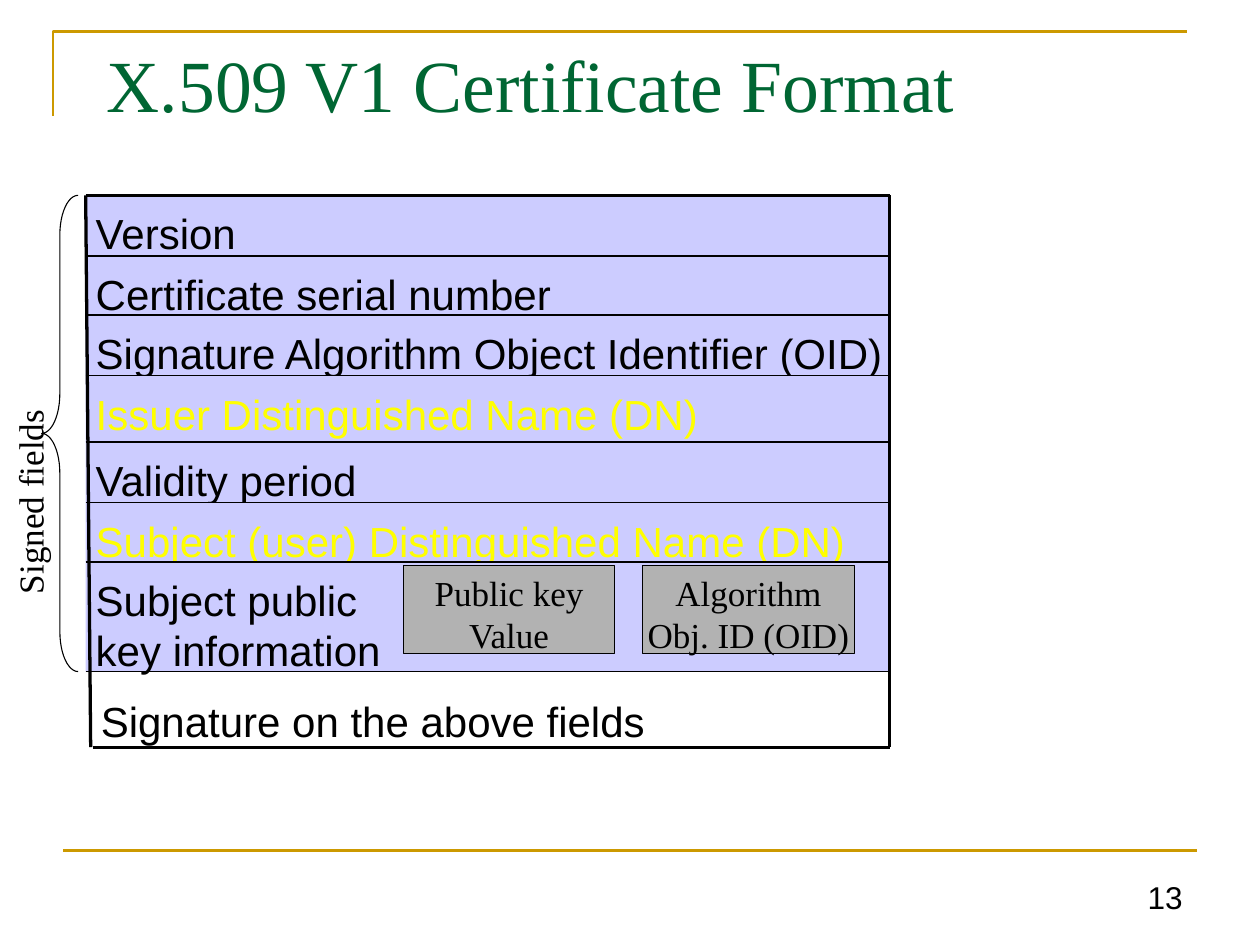
"""Build the X.509 V1 certificate format slide."""
import itertools

import pptx
import pptx.dml.color
import pptx.enum.shapes
import pptx.enum.text
import pptx.oxml
import pptx.util
from lxml import etree

TITLE = "X.509 V1 Certificate Format"
SIGNED_LABEL = "Signed fields"
PAGE = "13"
BLACK, YELLOW, LILAC, GREY = "000000", "FFFF00", "CCCCFF", "B2B2B2"
GREEN, GOLD = "006633", "CC9900"
SANS, SERIF = "Arial", "Times New Roman"

FIELDS = [
    (["Version"], 0.48, BLACK),
    (["Certificate serial number"], 0.47, BLACK),
    (["Signature Algorithm Object Identifier (OID)"], 0.48, BLACK),
    (["Issuer Distinguished Name (DN)"], 0.53, YELLOW),
    (["Validity period"], 0.48, BLACK),
    (["Subject (user) Distinguished Name (DN)"], 0.47, YELLOW),
    (["Subject public", "key information"], 0.87, BLACK),
]
SIGNATURE = ["Signature on the above fields"]
KEY_PARTS = [["Public key", "Value"], ["Algorithm", "Obj. ID (OID)"]]

LEFT, RIGHT, TOP, BOTTOM = 0.68, 7.06, 1.55, 5.93
WIDTH = RIGHT - LEFT
EDGES = [round(y, 2) for y in itertools.accumulate((f[1] for f in FIELDS), initial=TOP)]
SIGNED_END = EDGES[-1]
PART_LEFT, PART_WIDTH, PART_HEIGHT, PART_STEP = 3.2, 1.68, 0.7, 1.9

inch = pptx.util.Inches
SHAPE = pptx.enum.shapes.MSO_SHAPE
ALIGN = pptx.enum.text.PP_ALIGN
ANCHOR = pptx.enum.text.MSO_ANCHOR


def rgb(colour):
    return pptx.dml.color.RGBColor.from_string(colour)


def write(shape, lines, size, font, colour, margins=(0, 0, 0, 0),
          align=ALIGN.LEFT, anchor=ANCHOR.TOP):
    frame = shape.text_frame
    frame.text = "\n".join(lines)
    frame.word_wrap = True
    frame.vertical_anchor = anchor
    (frame.margin_left, frame.margin_top,
     frame.margin_right, frame.margin_bottom) = map(inch, margins)
    for paragraph in frame.paragraphs:
        paragraph.alignment = align
        for run in paragraph.runs:
            run.font.size = pptx.util.Pt(size)
            run.font.name = font
            run.font.color.rgb = rgb(colour)


def add_text(slide, box, *args, **kwargs):
    label = slide.shapes.add_textbox(*map(inch, box))
    write(label, *args, **kwargs)
    return label


def style(shape, fill=None, line=None, weight=0.63):
    shape.shadow.inherit = False
    if fill:
        shape.fill.solid()
        shape.fill.fore_color.rgb = rgb(fill)
    else:
        shape.fill.background()
    if line:
        shape.line.color.rgb = rgb(line)
        shape.line.width = pptx.util.Pt(weight)
    else:
        shape.line.fill.background()
    return shape


def add_box(slide, box, fill=None, line=None, kind=SHAPE.RECTANGLE):
    return style(slide.shapes.add_shape(kind, *map(inch, box)), fill, line)


def add_line(slide, ends, colour, weight):
    rule = slide.shapes.add_connector(
        pptx.enum.shapes.MSO_CONNECTOR.STRAIGHT, *map(inch, ends))
    rule.line.color.rgb = rgb(colour)
    rule.line.width = pptx.util.Pt(weight)
    etree.SubElement(rule._element.spPr, pptx.oxml.ns.qn("a:effectLst"))


def add_frame(slide):
    corner = slide.shapes.build_freeform(inch(0.42), inch(0.92))
    corner.add_line_segments(
        [(inch(0.42), inch(0.25)), (inch(9.42), inch(0.25))], close=False)
    style(corner.convert_to_shape(), line=GOLD, weight=1.5)
    add_line(slide, (0.5, 6.75, 9.5, 6.75), GOLD, 1.5)
    add_text(slide, (0.75, 0.19, 8.5, 1.06), [TITLE], 42, SERIF, GREEN,
             margins=(0.1, 0.12, 0.1, 0.05))
    add_text(slide, (9.01, 6.83, 0.48, 0.49), [PAGE], 18, SANS, BLACK,
             margins=(0.1, 0.05, 0.1, 0.05), anchor=ANCHOR.BOTTOM)


def add_certificate(slide):
    for (lines, height, colour), top in zip(FIELDS, EDGES):
        field = add_box(slide, (LEFT, top, WIDTH, height), LILAC)
        write(field, lines, 24, SANS, colour, margins=(0.08, 0.1, 0, 0))
    signature = add_box(slide, (LEFT, SIGNED_END, WIDTH, BOTTOM - SIGNED_END))
    write(signature, SIGNATURE, 24, SANS, BLACK, margins=(0.12, 0.19, 0, 0))

    for y in EDGES[1:]:
        add_line(slide, (LEFT, y, RIGHT, y), BLACK, 0.88)
    for ends in [(LEFT, TOP, RIGHT, TOP), (0.74, BOTTOM, RIGHT, BOTTOM),
                 (LEFT, TOP, 0.72, BOTTOM), (RIGHT, TOP, RIGHT, BOTTOM)]:
        add_line(slide, ends, BLACK, 1.88)

    for column, lines in enumerate(KEY_PARTS):
        part = add_box(slide, (PART_LEFT + column * PART_STEP, EDGES[-2] + 0.03,
                               PART_WIDTH, PART_HEIGHT), GREY, BLACK)
        write(part, lines, 20, SERIF, BLACK, margins=(0, 0.05, 0, 0),
              align=ALIGN.CENTER)


def add_signed_brace(slide):
    brace = add_box(slide, (0.33, TOP, 0.29, SIGNED_END - TOP), line=BLACK,
                    kind=SHAPE.LEFT_BRACE)
    brace.adjustments[0] = 1.09
    signed = add_text(slide, (-0.59, 3.69, 1.65, 0.4), [SIGNED_LABEL], 20, SERIF,
                      BLACK, anchor=ANCHOR.MIDDLE)
    signed.rotation = 270


def main():
    deck = pptx.Presentation()
    deck.slide_width, deck.slide_height = inch(10), inch(7.5)
    slide = deck.slides.add_slide(deck.slide_layouts[6])
    add_frame(slide)
    add_certificate(slide)
    add_signed_brace(slide)
    deck.save("out.pptx")


if __name__ == "__main__":
    main()
